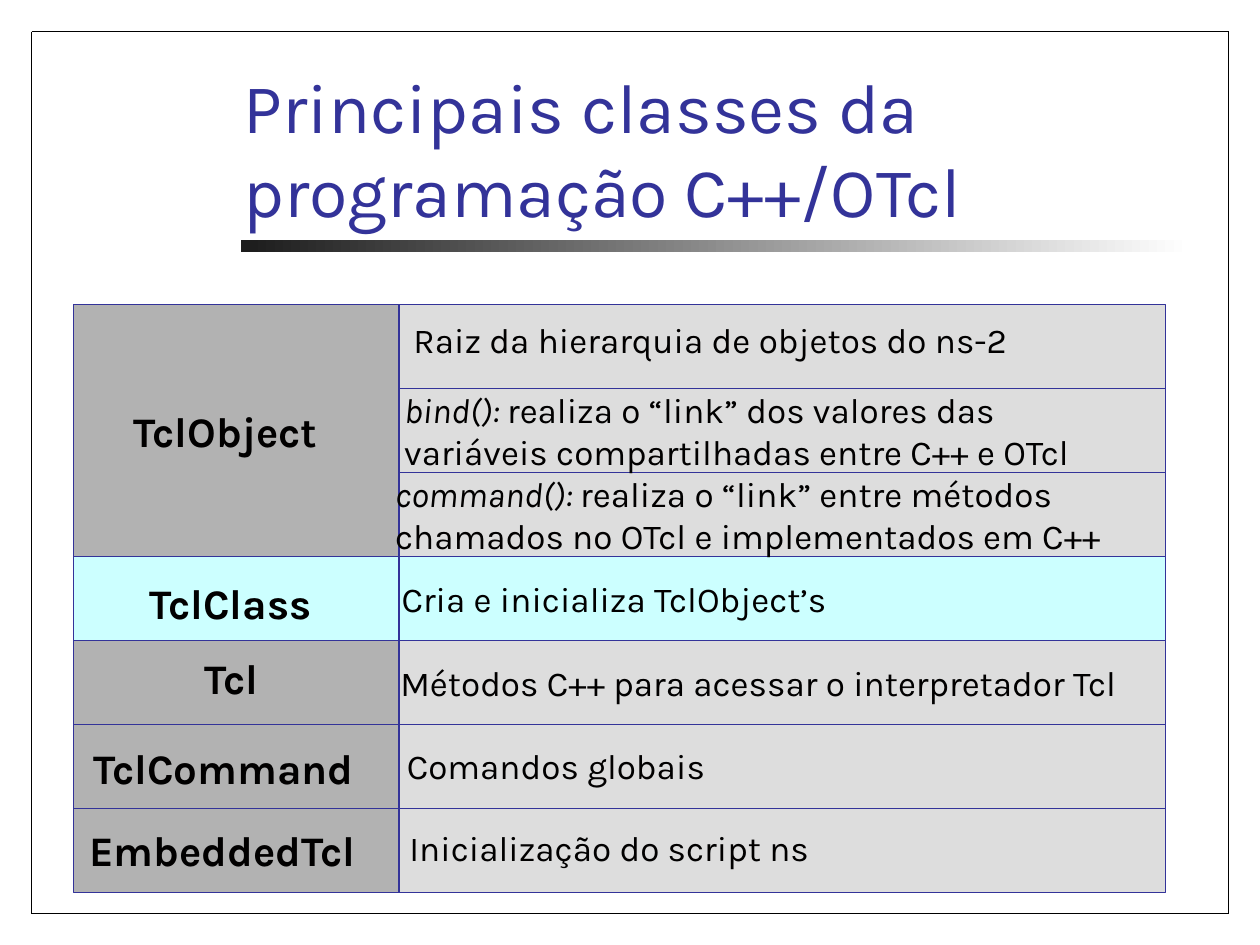
from dataclasses import dataclass

from lxml import etree
from pptx import Presentation
from pptx.dml.color import RGBColor
from pptx.enum.shapes import MSO_CONNECTOR, MSO_SHAPE
from pptx.enum.text import MSO_ANCHOR, MSO_AUTO_SIZE, PP_ALIGN
from pptx.oxml.ns import qn
from pptx.util import Emu, Pt

RECT = MSO_SHAPE.RECTANGLE
STRAIGHT = MSO_CONNECTOR.STRAIGHT
BOTTOM = MSO_ANCHOR.BOTTOM
LEFT = PP_ALIGN.LEFT
NO_FIT = MSO_AUTO_SIZE.NONE
FIT_SHAPE = MSO_AUTO_SIZE.SHAPE_TO_FIT_TEXT
PX = 9525


@dataclass(frozen=True)
class Theme:
    """Colours, font and type sizes of the slide."""
    font: str = "Karla"
    accent: str = "333399"
    text: str = "010000"
    black: str = "000000"
    white: str = "FFFFFF"
    bar: str = "1C1C1C"
    name_fill: str = "B2B2B2"
    role_fill: str = "DDDDDD"
    highlight: str = "CCFFFF"
    title_size: int = 40
    name_size: int = 24
    role_size: int = 20
    line_width: float = 0.75


THEME = Theme()
NAME_X, ROLE_X, RIGHT_X = 56, 304, 888
GRID_TOP, ROW_H = 232, 64

CLASSES = [
    ("TclObject", (102, 309, 150), [
        ([("Raiz da hierarquia de objetos do ns-2", False)], (315, 243, 454)),
        ([("bind(): ", True),
          ("realiza o “link” dos valores das\n"
           "variáveis compartilhadas entre C++ e OTcl", False)], (308, 296, 533)),
        ([("command(): ", True),
          ("realiza o “link” entre métodos\n"
           "chamados no OTcl e implementados em C++", False)], (301, 360, 566)),
    ]),
    ("TclClass", (114, 440, 126), [
        ([("Cria e inicializa TclObject’s", False)], (306, 440, 326))]),
    ("Tcl", (156, 497, 45), [
        ([("Métodos C++ para acessar o interpretador Tcl", False)], (305, 504, 572))]),
    ("TclCommand", (71, 566, 208), [
        ([("Comandos globais", False)], (310, 567, 232))]),
    ("EmbeddedTcl", (68, 628, 213), [
        ([("Inicialização do script ns", False)], (312, 630, 305))]),
]


def px(*values):
    """Turn px lengths into EMU."""
    return [Emu(v * PX) for v in values]


def rgb(value):
    """Turn a hex string into a colour."""
    return RGBColor.from_string(value)


def add_run(p, text, *, size, color, bold=False, italic=False):
    """Add a formatted run to a paragraph."""
    r = p.add_run()
    r.text = text
    r.font.name = THEME.font
    r.font.size = Pt(size)
    r.font.bold = bold
    r.font.italic = italic
    r.font.color.rgb = rgb(color)


def add_text(s, runs, place, *, size, bold=False):
    """Add an unwrapped text box, with a new paragraph at each line feed."""
    x, y, w = place
    lines = 1 + sum(text.count("\n") for text, _ in runs)
    height = round(size * 1.6) * lines
    tf = s.shapes.add_textbox(*px(x, y, w, height)).text_frame
    tf.margin_left = tf.margin_right = tf.margin_top = tf.margin_bottom = 0
    tf.word_wrap = False
    tf.auto_size = FIT_SHAPE
    p = tf.paragraphs[0]
    for text, italic in runs:
        for i, line in enumerate(text.split("\n")):
            if i:
                p = tf.add_paragraph()
            add_run(p, line, size=size, color=THEME.text, bold=bold, italic=italic)


def add_cell(s, x, y, w, h, fill):
    """Add a filled and outlined grid rectangle."""
    sp = s.shapes.add_shape(RECT, *px(x, y, w, h))
    sp.shadow.inherit = False
    sp.fill.solid()
    sp.fill.fore_color.rgb = rgb(fill)
    sp.line.color.rgb = rgb(THEME.accent)
    sp.line.width = Pt(THEME.line_width)


def add_frame(s, left, top, right, bottom):
    """Draw four thin lines around the slide."""
    for ends in ((left, top, left, bottom), (right, top, right, bottom),
                 (left, bottom, right, bottom), (left, top, right, top)):
        line = s.shapes.add_connector(STRAIGHT, *px(*ends))
        line.line.color.rgb = rgb(THEME.black)
        line.line.width = Pt(THEME.line_width)
        etree.SubElement(line._element.spPr, qn("a:effectLst"))


def add_title_bar(s):
    """Add the fading bar below the title."""
    sp = s.shapes.add_shape(RECT, *px(184, 183, 723, 9))
    sp.shadow.inherit = False
    sp.line.fill.background()
    sp.fill.gradient()
    sp.fill.gradient_angle = 180
    for stop, color in zip(sp.fill.gradient_stops, (THEME.white, THEME.bar)):
        stop.color.rgb = rgb(color)


def set_title(s, text):
    """Place and format the title placeholder."""
    sp = s.shapes.title
    sp.left, sp.top, sp.width, sp.height = px(176, 61, 728, 120)
    tf = sp.text_frame
    tf.word_wrap = True
    tf.auto_size = NO_FIT
    tf.vertical_anchor = BOTTOM
    p = tf.paragraphs[0]
    p.alignment = LEFT
    add_run(p, text, size=THEME.title_size, color=THEME.accent)


def add_class_grid(s):
    """Add one block per class: its name and one row per role."""
    y = GRID_TOP
    for name, name_place, roles in CLASSES:
        marked = name == "TclClass"
        add_cell(s, NAME_X, y, ROLE_X - NAME_X, ROW_H * len(roles),
                 THEME.highlight if marked else THEME.name_fill)
        for i in range(len(roles)):
            add_cell(s, ROLE_X, y + i * ROW_H, RIGHT_X - ROLE_X, ROW_H,
                     THEME.highlight if marked else THEME.role_fill)
        y += ROW_H * len(roles)
    for name, name_place, roles in CLASSES:
        add_text(s, [(name, False)], name_place, size=THEME.name_size, bold=True)
        for runs, place in roles:
            add_text(s, runs, place, size=THEME.role_size)


def main():
    """Build the slide and save it."""
    prs = Presentation()
    prs.slide_width, prs.slide_height = px(960, 720)
    s = prs.slides.add_slide(prs.slide_layouts[5])
    add_title_bar(s)
    add_frame(s, 24, 24, 936, 696)
    set_title(s, "Principais classes da programação C++/OTcl")
    add_class_grid(s)
    prs.save("out.pptx")


if __name__ == "__main__":
    main()
